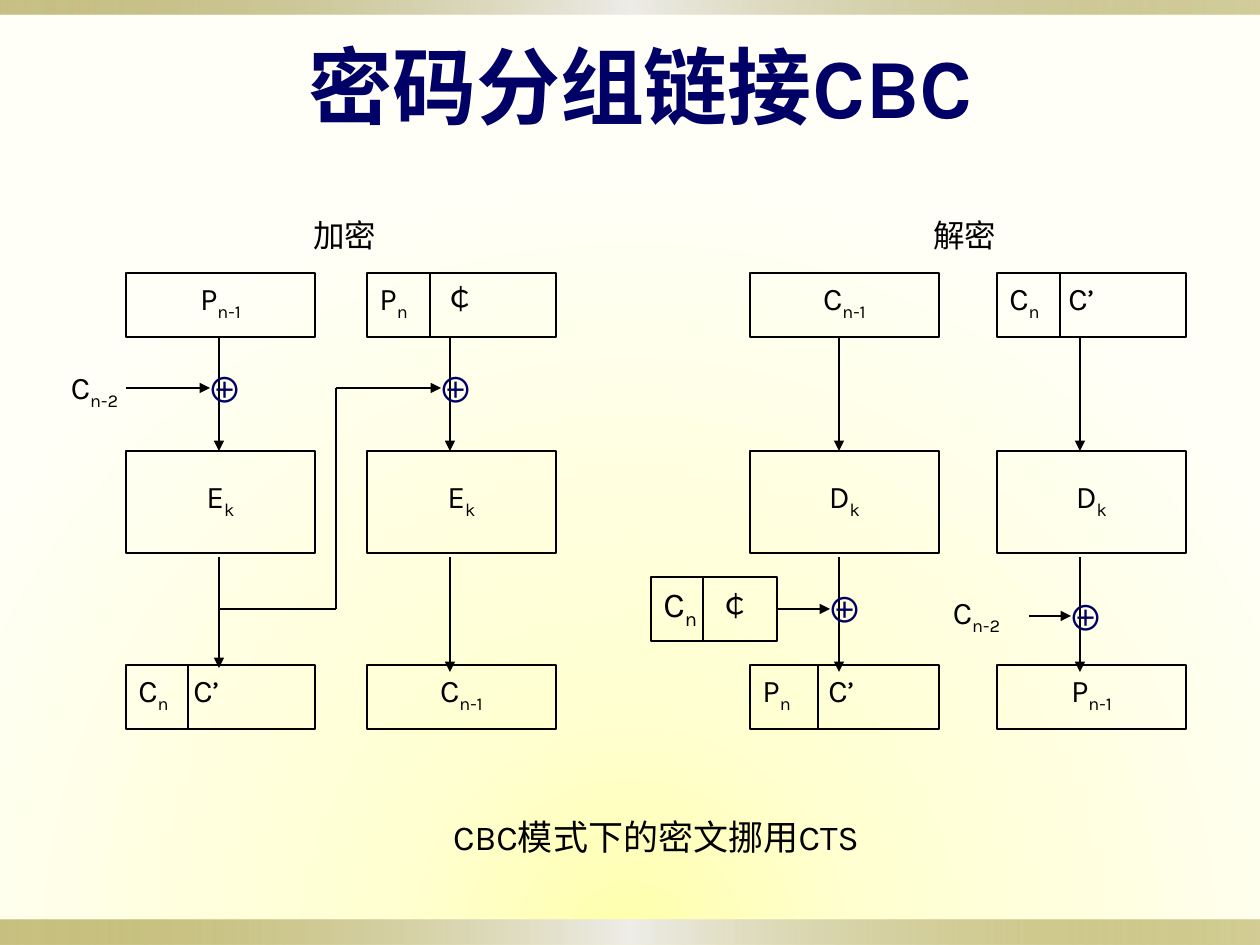
from dataclasses import dataclass

from lxml.etree import SubElement
from pptx import Presentation
from pptx.dml.color import RGBColor
from pptx.enum.shapes import MSO_CONNECTOR as CONNECTOR, MSO_SHAPE as SHAPE
from pptx.enum.text import MSO_ANCHOR as ANCHOR, PP_ALIGN as ALIGN
from pptx.oxml.ns import qn
from pptx.util import Emu, Pt

PX = 914400 / 126
WIDTH, HEIGHT = 1260, 945
BLACK = RGBColor(0x00, 0x00, 0x00)
NAVY = RGBColor(0x00, 0x00, 0x66)
GOLD = RGBColor(0x91, 0x84, 0x15)
SILVER = RGBColor(0xEE, 0xED, 0xE8)
YELLOW = RGBColor(0xFF, 0xFF, 0xAC)
CREAM = RGBColor(0xFF, 0xFF, 0xD2)
IVORY = RGBColor(0xFF, 0xFF, 0xF7)
LATIN, CJK = "Karla", "Noto Sans CJK SC"

BLOCK_WIDTH, DATA_HEIGHT, CIPHER_HEIGHT = 189, 64, 102
CIPHER_TOP, OUTPUT_TOP = 178, 392


@dataclass
class Block:
    """A symbol with its index and, after a divider, a second symbol."""
    symbol: str
    index: str
    second: str = ""
    divider: int = 0
    tab: int = 0


def px(value):
    return Emu(round(value * PX))


def box_px(*values):
    return [px(value) for value in values]


def add_gradient(parent, stops):
    """Append a gradient of (position, colour, opacity) stops, in percent."""
    gradient = SubElement(parent, qn("a:gradFill"), rotWithShape="1")
    stop_list = SubElement(gradient, qn("a:gsLst"))
    for position, colour, opacity in stops:
        stop = SubElement(stop_list, qn("a:gs"), pos=str(position * 1000))
        rgb = SubElement(stop, qn("a:srgbClr"), val=str(colour))
        if opacity < 100:
            SubElement(rgb, qn("a:alpha"), val=str(opacity * 1000))
    return gradient


def paint_background(slide):
    slide.background.fill.solid()
    properties = slide.background._cSld.bg.bgPr
    properties.remove(properties[0])
    gradient = add_gradient(properties, [(0, YELLOW, 100), (31, CREAM, 100), (100, IVORY, 100)])
    properties.insert(0, gradient)
    path = SubElement(gradient, qn("a:path"), path="circle")
    SubElement(path, qn("a:fillToRect"), l="50000", t="150000", r="50000", b="0")


def add_bar(slide, top, height):
    bar = slide.shapes.add_shape(SHAPE.RECTANGLE, *box_px(0, top, WIDTH, height))
    bar.shadow.inherit = False
    bar.line.fill.background()
    gradient = add_gradient(bar._element.spPr, [(0, GOLD, 50), (50, SILVER, 100), (100, GOLD, 40)])
    SubElement(gradient, qn("a:lin"), ang="0", scaled="1")
    bar._element.spPr.find(qn("a:prstGeom")).addnext(gradient)


def format_run(run, size, colour=BLACK, font=LATIN, bold=False):
    run.font.size, run.font.bold, run.font.name = Pt(size), bold, font
    run.font.color.rgb = colour
    SubElement(run._r.get_or_add_rPr(), qn("a:ea"), typeface=CJK)


def write(shape, text, size, align=ALIGN.CENTER, **style):
    shape.text_frame.text = text
    paragraph = shape.text_frame.paragraphs[0]
    paragraph.alignment = align
    format_run(paragraph.runs[0], size, **style)


def add_text_box(slide, left, top, width, height, margin=6):
    text_box = slide.shapes.add_textbox(*box_px(left, top, width, height))
    frame = text_box.text_frame
    frame.word_wrap = True
    frame.margin_top = frame.margin_bottom = px(margin)
    return text_box


def write_indexed(shape, block, size=18):
    paragraph = shape.text_frame.paragraphs[0]
    paragraph.alignment = ALIGN.LEFT if block.second else ALIGN.CENTER
    parts = [(block.symbol, size), (block.index, size)]
    if block.second:
        tabs = SubElement(paragraph._p.get_or_add_pPr(), qn("a:tabLst"))
        SubElement(tabs, qn("a:tab"), pos=str(px(block.tab - 13)), algn="l")
        parts.append(("\t" + block.second, 18))
    for text, run_size in parts:
        run = paragraph.add_run()
        run.text = text
        format_run(run, run_size)
    paragraph.runs[1]._r.rPr.set("baseline", "-25000")


def add_line(slide, x1, y1, x2, y2, arrow=False):
    line = slide.shapes.add_connector(CONNECTOR.STRAIGHT, *box_px(x1, y1, x2, y2))
    line.line.color.rgb = BLACK
    line.line.width = Pt(0.75)
    if arrow:
        SubElement(line.line._get_or_add_ln(), qn("a:tailEnd"), type="triangle")
    SubElement(line._element.spPr, qn("a:effectLst"))


def add_block(slide, left, top, width, height, block, margin=6, size=18):
    rectangle = slide.shapes.add_shape(SHAPE.RECTANGLE, *box_px(left, top, width, height))
    rectangle.shadow.inherit = False
    rectangle.fill.background()
    rectangle.line.color.rgb = BLACK
    rectangle.line.width = Pt(0.75)
    frame = rectangle.text_frame
    frame.vertical_anchor = ANCHOR.TOP
    frame.margin_top = frame.margin_bottom = px(margin)
    write_indexed(rectangle, block, size)
    if block.divider:
        x = left + block.divider
        add_line(slide, x, top, x, top + height)


def add_column(slide, left, top, wire, blocks, wire_end=399):
    """Stack input, cipher and output blocks, joined by a wire at the given x offset."""
    source, cipher, output = blocks
    add_block(slide, left, top, BLOCK_WIDTH, DATA_HEIGHT, source)
    add_block(slide, left, top + CIPHER_TOP, BLOCK_WIDTH, CIPHER_HEIGHT, cipher, margin=26)
    add_block(slide, left, top + OUTPUT_TOP, BLOCK_WIDTH, DATA_HEIGHT, output)
    x = left + wire
    add_line(slide, x, top + 63, x, top + CIPHER_TOP, arrow=True)
    add_line(slide, x, top + 284, x, top + wire_end, arrow=True)


def add_xor(slide, wire_x, y, start_x):
    """Mark an XOR on a wire and lead an arrow into it from the left."""
    mark = add_text_box(slide, wire_x - 24, y - 20, 53, 42, margin=0)
    write(mark, "⊕", 20, ALIGN.LEFT, colour=NAVY, font=CJK)
    add_line(slide, start_x, y, wire_x - 9, y, arrow=True)


def add_feedback_label(slide, left, top):
    label = add_text_box(slide, left, top, 105, 38, margin=0)
    write_indexed(label, Block("C", "n-2"))


def add_caption(slide, left, top, width, height, text, size):
    write(add_text_box(slide, left, top, width, height), text, size)


def add_encryption(slide, left, top):
    add_caption(slide, left + 166, top - 63, 105, 50, "加密", 18)
    cipher = Block("E", "k")
    add_column(slide, left, top, 93,
               [Block("P", "n-1"), cipher, Block("C", "n", "C’", 62, 68)], wire_end=395)
    add_column(slide, left + 241, top, 83,
               [Block("P", "n", "￠", 63, 78), cipher, Block("C", "n-1")])
    xor_y, branch_y, branch_x = top + 115, top + 336, left + 210
    add_feedback_label(slide, left - 84, xor_y - 20)
    add_xor(slide, left + 93, xor_y, left)
    add_line(slide, left + 94, branch_y, branch_x, branch_y)
    add_line(slide, branch_x, branch_y, branch_x, xor_y)
    add_xor(slide, left + 324, xor_y, branch_x)


def add_decryption(slide, left, top):
    add_caption(slide, left + 162, top - 63, 105, 50, "解密", 18)
    cipher = Block("D", "k")
    add_column(slide, left, top, 89,
               [Block("C", "n-1"), cipher, Block("P", "n", "C’", 68, 79)])
    add_column(slide, left + 247, top, 83,
               [Block("C", "n", "C’", 63, 72), cipher, Block("P", "n-1")])
    add_block(slide, left - 99, top + 304, 126, DATA_HEIGHT,
              Block("C", "n", "￠", 52, 69), size=20)
    add_xor(slide, left + 89, top + 336, left + 27)
    add_feedback_label(slide, left + 174, top + 320)
    add_xor(slide, left + 330, top + 343, left + 279)


def add_title(slide):
    title = slide.shapes.title
    title.left, title.top, title.width, title.height = box_px(105, 32, 1071, 105)
    title.text_frame.vertical_anchor = ANCHOR.MIDDLE
    write(title, "密码分组链接CBC", 48, colour=NAVY, bold=True)


def main():
    presentation = Presentation()
    presentation.slide_width, presentation.slide_height = box_px(WIDTH, HEIGHT)
    slide = presentation.slides.add_slide(presentation.slide_layouts[5])
    paint_background(slide)
    add_bar(slide, 920, 25)
    add_bar(slide, 0, 15)
    add_title(slide)
    add_encryption(slide, 126, 273)
    add_decryption(slide, 750, 273)
    add_caption(slide, 420, 809, 472, 55, "CBC模式下的密文挪用CTS", 20)
    presentation.save("out.pptx")


if __name__ == "__main__":
    main()
